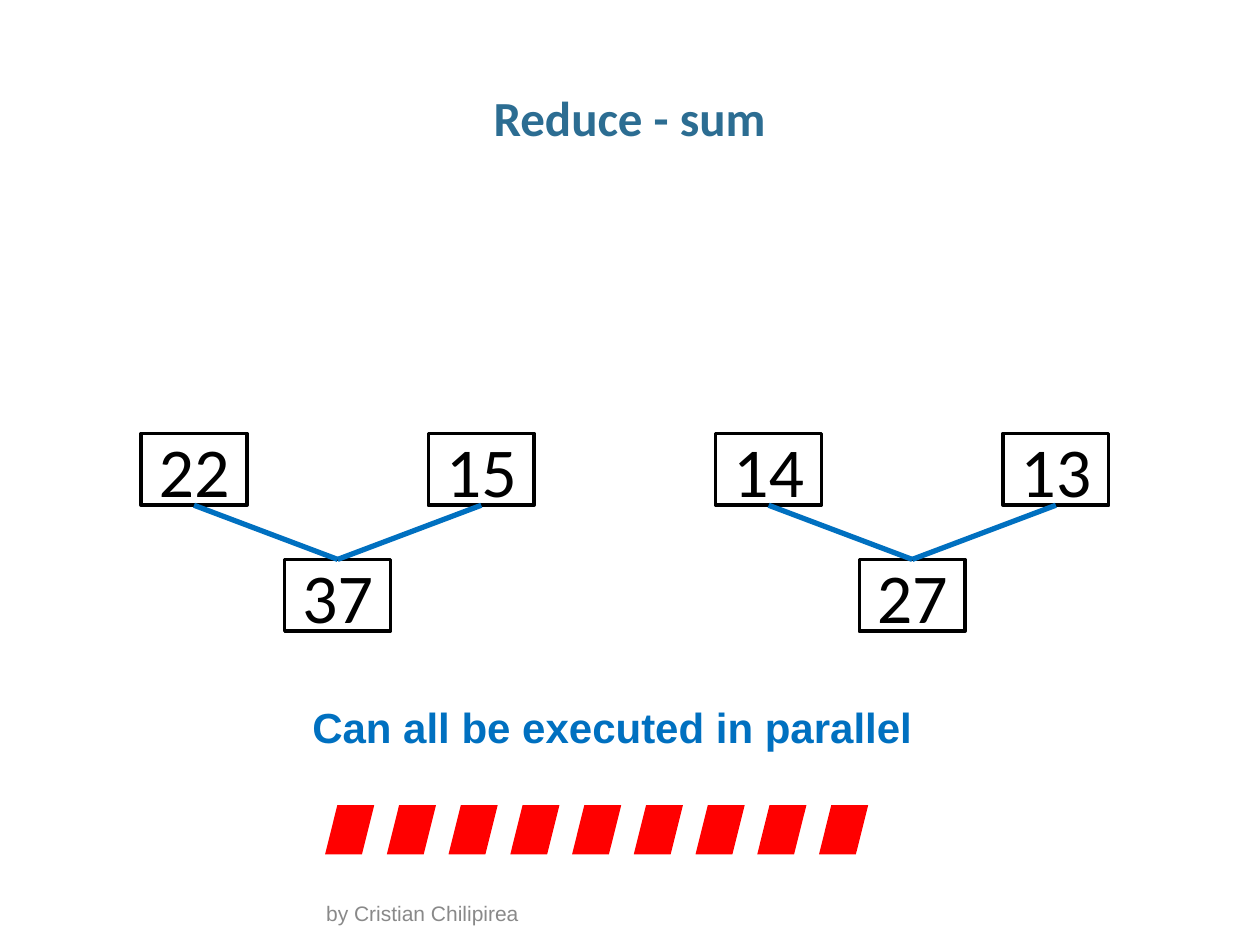
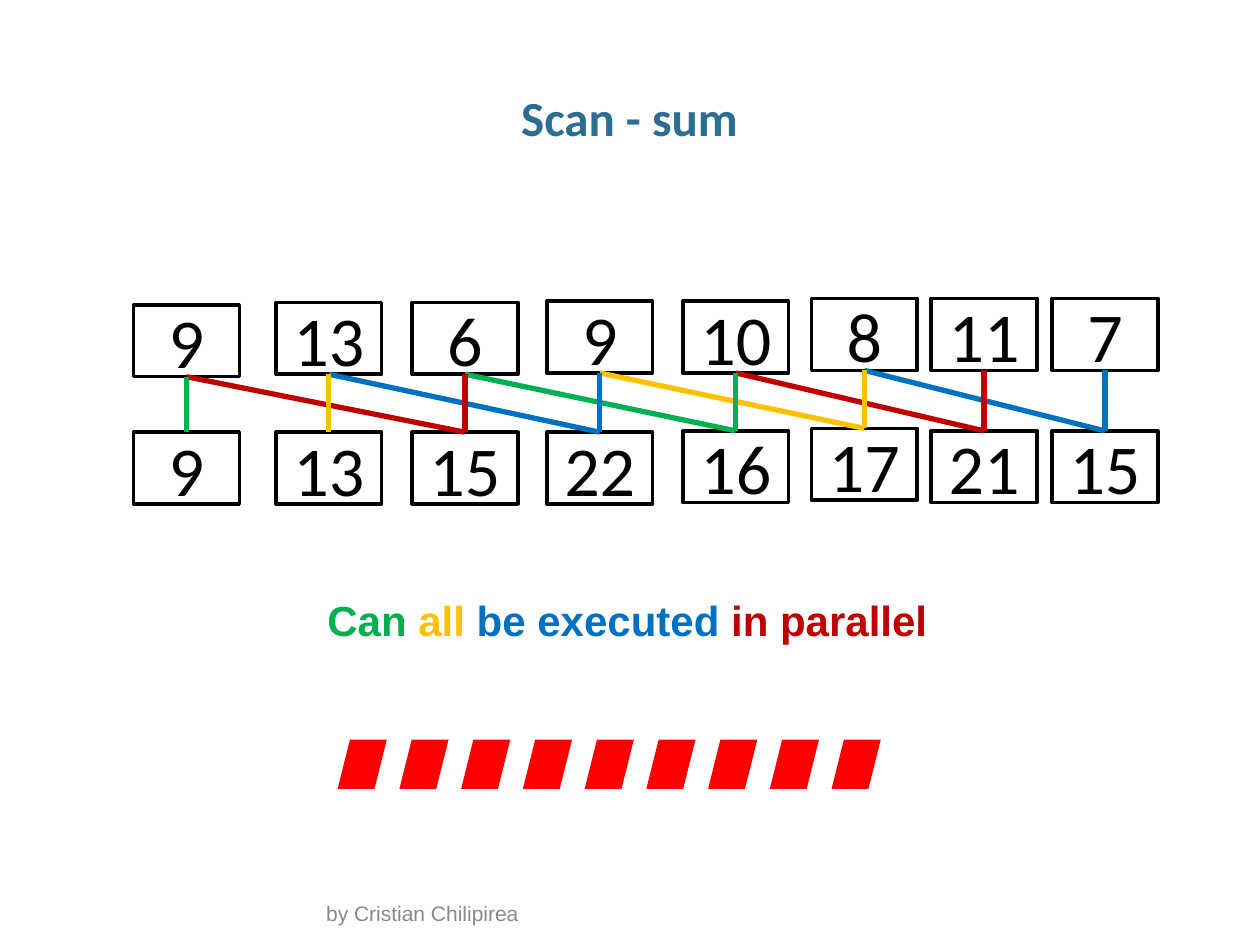
from dataclasses import dataclass

from lxml.etree import SubElement
from pptx import Presentation
from pptx.dml.color import RGBColor
from pptx.enum.shapes import MSO_CONNECTOR, MSO_SHAPE
from pptx.enum.text import MSO_ANCHOR, PP_ALIGN
from pptx.oxml.ns import qn
from pptx.shapes.autoshape import Shape
from pptx.slide import Slide
from pptx.util import Emu, Inches, Pt

COLORS = {
    "title": "2C6D92",
    "footer": "898989",
    "ink": "000000",
    "dash": "FF0000",
    "green": "00B050",
    "yellow": "FFC000",
    "blue": "0070C0",
    "red": "C00000",
}
LANES = ("green", "yellow", "red", "blue")

prs = Presentation()
prs.slide_width, prs.slide_height = Inches(10), Inches(7.5)
COL, ROW = prs.slide_width / 100, prs.slide_height / 75
BOX_W, BOX_H = 8.4, 5.7
DASH_SIZE, DASH_STEP, DASH_COUNT = 3.9, 4.9, 9
SCAN_STRIDE = 2


@dataclass
class Area:
    left: float
    top: float
    width: float
    height: float

    def emu(self) -> tuple[Emu, ...]:
        units = (COL, ROW, COL, ROW)
        sizes = (self.left, self.top, self.width, self.height)
        return tuple(Emu(round(n * u)) for n, u in zip(sizes, units))


@dataclass
class Style:
    size: int
    font: str
    bold: bool = False


@dataclass
class Piece:
    text: str
    color: str


@dataclass
class ScanColumn:
    left: float
    top: float
    bottom: float
    value: int


TITLE = Style(28, "Calibri", True)
NOTE = Style(24, "Arial", True)
FOOTER = Style(12, "Arial")
NUMBER = Style(40, "Calibri")


def rgb(name: str) -> RGBColor:
    return RGBColor.from_string(COLORS[name])


def write(sp: Shape, pieces: list[Piece], style: Style) -> None:
    p = sp.text_frame.paragraphs[0]
    for piece in pieces:
        r = p.add_run()
        r.text = piece.text
        r.font.size, r.font.name = Pt(style.size), style.font
        r.font.bold = style.bold
        r.font.color.rgb = rgb(piece.color)


def add_text(s: Slide, area: Area, pieces: list[Piece], style: Style) -> Shape:
    sp = s.shapes.add_textbox(*area.emu())
    write(sp, pieces, style)
    return sp


def add_base(title: str) -> Slide:
    s = prs.slides.add_slide(prs.slide_layouts[6])
    footer = add_text(s, Area(24.9, 71.6, 50.2, 2.4),
                      [Piece("by Cristian Chilipirea", "footer")], FOOTER)
    footer.text_frame.word_wrap = True
    footer.text_frame.vertical_anchor = MSO_ANCHOR.BOTTOM
    heading = add_text(s, Area(3.4, 6.8, 93.1, 5), [Piece(title, "title")], TITLE)
    tf = heading.text_frame
    tf.word_wrap = True
    tf.margin_left = tf.margin_right = 0
    tf.paragraphs[0].alignment = PP_ALIGN.CENTER
    tf.paragraphs[0].line_spacing = 0.95
    return s


def add_box(s: Slide, left: float, top: float, value: int) -> Shape:
    sp = s.shapes.add_shape(MSO_SHAPE.RECTANGLE, *Area(left, top, BOX_W, BOX_H).emu())
    sp.shadow.inherit = False
    sp.fill.background()
    sp.line.color.rgb, sp.line.width = rgb("ink"), Pt(2)
    sp.text_frame.vertical_anchor = MSO_ANCHOR.MIDDLE
    write(sp, [Piece(str(value), "ink")], NUMBER)
    sp.text_frame.paragraphs[0].alignment = PP_ALIGN.CENTER
    return sp


def link(s: Slide, parent: Shape, child: Shape, color: str) -> None:
    line = s.shapes.add_connector(MSO_CONNECTOR.STRAIGHT, 0, 0, 0, 0)
    line.begin_connect(parent, 2)
    line.end_connect(child, 0)
    line.line.color.rgb, line.line.width = rgb(color), Pt(3)
    SubElement(line._element.spPr, qn("a:effectLst"))


def add_note(s: Slide, left: float, top: float, pieces: list[Piece]) -> None:
    sp = add_text(s, Area(left, top, 50.1, 5), pieces, NOTE)
    sp.text_frame.word_wrap = False


def add_dashes(s: Slide, left: float, top: float) -> None:
    for i in range(DASH_COUNT):
        area = Area(left + i * DASH_STEP, top, DASH_SIZE, DASH_SIZE)
        sp = s.shapes.add_shape(MSO_SHAPE.PARALLELOGRAM, *area.emu())
        sp.shadow.inherit = False
        sp.fill.solid()
        sp.fill.fore_color.rgb = rgb("dash")
        sp.line.fill.background()


def build_reduce() -> None:
    s = add_base("Reduce - sum")
    values = (22, 15, 14, 13)
    left, step = 11.2, 22.8
    parents = [add_box(s, left + i * step, 34.4, v) for i, v in enumerate(values)]
    for i in range(0, len(values), 2):
        child = add_box(s, left + (i + 0.5) * step, 44.4, values[i] + values[i + 1])
        for parent in parents[i:i + 2]:
            link(s, parent, child, "blue")
    add_note(s, 23.8, 55.2, [Piece("Can all be executed in parallel", "blue")])
    add_dashes(s, 25.8, 63.9)


def build_scan() -> None:
    s = add_base("Scan - sum")
    columns = [
        ScanColumn(10.6, 24.2, 34.3, 9),
        ScanColumn(21.9, 24, 34.3, 13),
        ScanColumn(32.7, 24, 34.3, 6),
        ScanColumn(43.4, 23.9, 34.3, 9),
        ScanColumn(54.2, 23.9, 34.2, 10),
        ScanColumn(64.4, 23.7, 34, 8),
        ScanColumn(73.9, 23.7, 34.2, 11),
        ScanColumn(83.5, 23.7, 34.2, 7),
    ]
    parents = [add_box(s, c.left, c.top, c.value) for c in columns]
    for i, c in reversed(list(enumerate(columns))):
        sources = [j for j in (i - SCAN_STRIDE, i) if j >= 0]
        child = add_box(s, c.left, c.bottom, sum(columns[j].value for j in sources))
        for j in sources:
            link(s, parents[j], child, LANES[i % len(LANES)])
    add_note(s, 25, 46.7, [
        Piece("Can ", "green"),
        Piece("all", "yellow"),
        Piece(" be executed ", "blue"),
        Piece("in parallel", "red"),
    ])
    add_dashes(s, 26.8, 58.7)


build_reduce()
build_scan()
prs.save("out.pptx")
